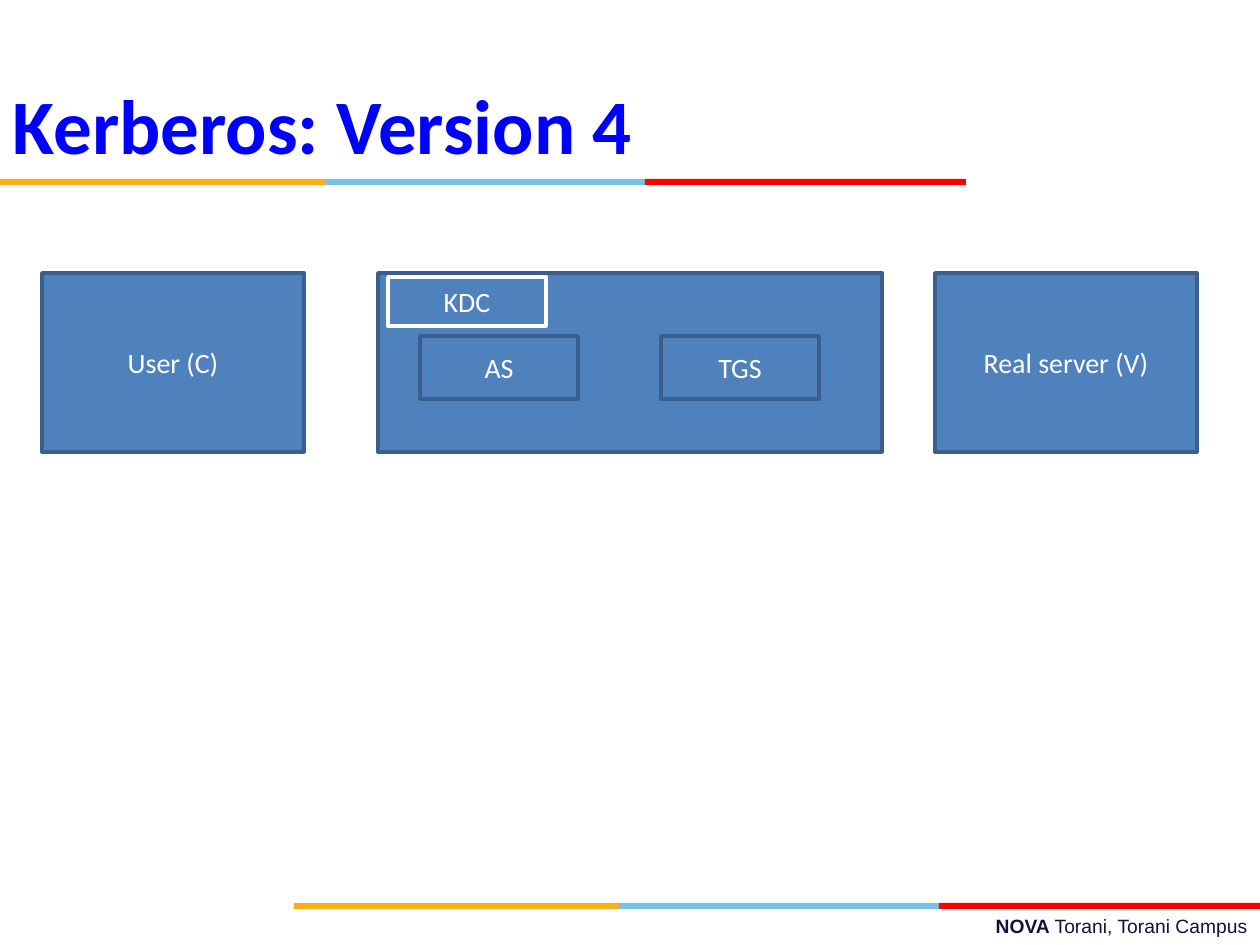
from pptx import Presentation
from pptx.dml.color import RGBColor
from pptx.enum.shapes import MSO_SHAPE as Shape
from pptx.enum.text import MSO_ANCHOR as Anchor, MSO_AUTO_SIZE as AutoSize, PP_ALIGN as Align
from pptx.util import Emu, Pt

# Content: lengths in px, 126 px to the inch
PX = 914400 // 126
COLORS = {"amber": "FCB017", "sky": "76C2E5", "red": "FF0000", "title": "0000FF",
          "footer": "101141", "box": "4F81BD", "edge": "3A5F8C", "white": "FFFFFF"}
TITLE = "Kerberos: Version 4"
FOOTER = [("NOVA ", True), ("Torani, Torani Campus", False)]
BANDS = [("amber", 325), ("sky", 320), ("red", 321)]
BAND_HEIGHT = 6
BAND_STARTS = [(294, 903), (0, 179)]
BOXES = [  # text, left, top, width, height, line colour
    ("User (C)", 42, 273, 262, 179, "edge"),
    ("Real server (V)", 935, 273, 262, 179, "edge"),
    ("", 378, 273, 504, 179, "edge"),
    ("AS", 420, 336, 158, 63, "edge"),
    ("TGS", 661, 336, 158, 63, "edge"),
    ("KDC", 388, 277, 158, 49, "white"),
]


def px(*lengths):
    return [Emu(length * PX) for length in lengths]


def color(name):
    return RGBColor.from_string(COLORS[name])


def write(para, text, **font):
    span = para.add_run()
    span.text = text
    span.font.color.rgb = color(font.pop("color"))
    for key, value in font.items():
        setattr(span.font, key, value)


def add_box(page, left, top, width, height, fill, line=None):
    box = page.shapes.add_shape(Shape.RECTANGLE, *px(left, top, width, height))
    box.shadow.inherit = False
    box.fill.solid()
    box.fill.fore_color.rgb = color(fill)
    if line:
        box.line.color.rgb = color(line)
        box.line.width = Pt(2)
    else:
        box.line.fill.background()
    return box


def main():
    deck = Presentation()
    deck.slide_width, deck.slide_height = px(1260, 945)
    page = deck.slides.add_slide(deck.slide_layouts[5])

    # Title
    title = page.shapes.title
    title.left, title.top, title.width, title.height = px(0, 71, 650, 106)
    frame = title.text_frame
    for key, value in {"word_wrap": False, "vertical_anchor": Anchor.TOP,
                       "auto_size": AutoSize.SHAPE_TO_FIT_TEXT}.items():
        setattr(frame, key, value)
    para = frame.paragraphs[0]
    para.alignment = Align.LEFT
    write(para, TITLE, color="title", name="Calibri", size=Pt(44), bold=True)

    # Footer
    footer = page.shapes.add_textbox(*px(451, 908, 809, 37)).text_frame
    footer.word_wrap = True
    para = footer.paragraphs[0]
    para.alignment = Align.RIGHT
    for text, bold in FOOTER:
        write(para, text, color="footer", name="Arial", size=Pt(11), bold=bold)

    # Three-colour rules
    for left, top in BAND_STARTS:
        for fill, width in BANDS:
            add_box(page, left, top, width, BAND_HEIGHT, fill)
            left += width

    # Parties and the servers inside the key centre
    for text, left, top, width, height, line in BOXES:
        box = add_box(page, left, top, width, height, "box", line)
        if text:
            box.text_frame.vertical_anchor = Anchor.MIDDLE
            para = box.text_frame.paragraphs[0]
            para.alignment = Align.CENTER
            write(para, text, color="white", name="Calibri", size=Pt(16))

    deck.save("out.pptx")


if __name__ == "__main__":
    main()
